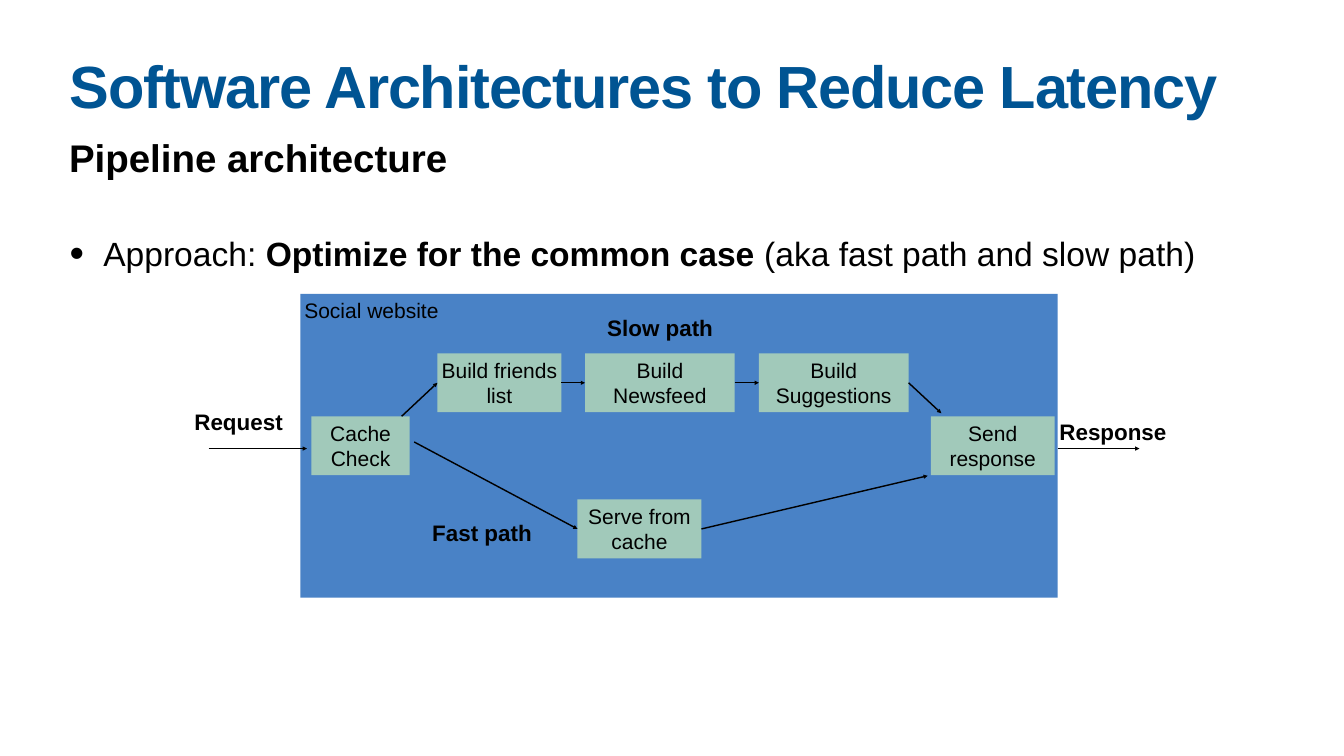
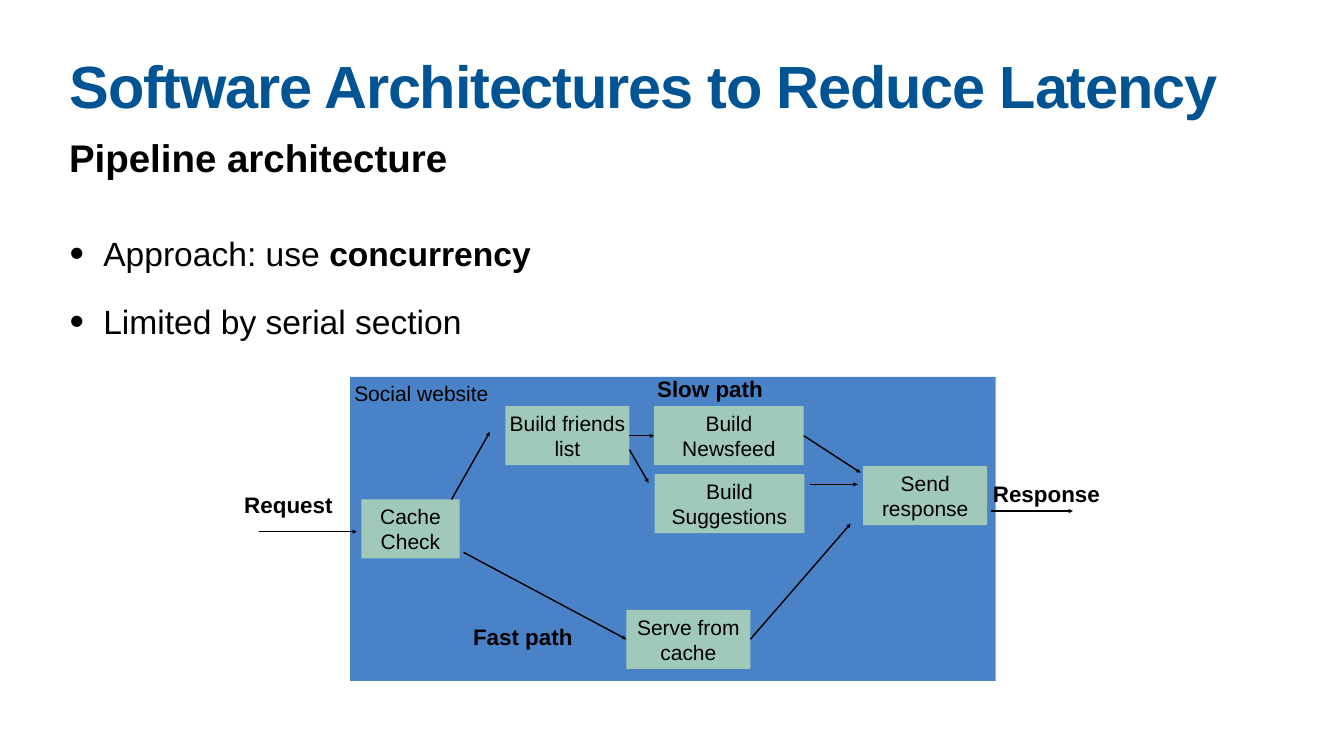
from dataclasses import dataclass
from typing import Union

from lxml.etree import SubElement
from pptx import Presentation
from pptx.dml.color import RGBColor
from pptx.enum.shapes import MSO_CONNECTOR, MSO_SHAPE
from pptx.enum.text import MSO_ANCHOR, MSO_AUTO_SIZE, PP_ALIGN
from pptx.oxml.ns import qn
from pptx.util import Inches, Pt

COLORS = {
    "title": "005493",
    "text": "000000",
    "site": "4982C6",
    "step": "A1C9BA",
}
FONT = "Arial"
TITLE = "Software Architectures to Reduce Latency"
SUBTITLE = "Pipeline architecture"
SITE_NAME = "Social website"

MARGIN, CONTENT_WIDTH = 1.32, 24.03
SITE_HEIGHT = 6.03
STEP_HEIGHT, LABEL_HEIGHT = 1.17, 0.69
DIAGRAM_INSET = 0.08
LEFT_SIDE, RIGHT_SIDE = 1, 3

STEP_WIDTHS = {
    "Cache Check": 1.95,
    "Send response": 2.46,
    "Build friends list": 2.46,
    "Build Newsfeed": 2.97,
    "Build Suggestions": 2.97,
    "Serve from cache": 2.46,
}
LABEL_WIDTHS = {"Request": 1.93, "Response": 2.29, "Fast path": 2.15, "Slow path": 2.28}

Point = tuple[float, float]
Stop = Union[Point, str]  # a free point, or the name of the step it joins


@dataclass(frozen=True)
class Arrow:
    start: Stop
    end: Stop


@dataclass(frozen=True)
class Pipeline:
    bullets: list[list[tuple[str, bool]]]
    bullets_height: float
    site_at: Point
    site_width: float
    steps: dict[str, Point]
    labels: dict[str, Point]
    arrows: list[Arrow]


COMMON_CASE = Pipeline(
    bullets=[[
        ("Approach: ", False),
        ("Optimize for the common case ", True),
        ("(aka fast path and slow path)", False),
    ]],
    bullets_height=9.03,
    site_at=(5.96, 5.83),
    site_width=15.03,
    steps={
        "Cache Check": (6.18, 8.26),
        "Send response": (18.47, 8.26),
        "Build friends list": (8.68, 7.01),
        "Build Newsfeed": (11.61, 7.01),
        "Build Suggestions": (15.06, 7.01),
        "Serve from cache": (11.46, 9.91),
    },
    labels={
        "Request": (3.77, 8.01),
        "Response": (20.94, 8.21),
        "Fast path": (8.49, 10.22),
        "Slow path": (11.96, 6.15),
    },
    arrows=[
        Arrow((4.14, 8.9), (6.09, 8.9)),
        Arrow((20.99, 8.9), (22.61, 8.9)),
        Arrow((7.97, 8.26), "Build friends list"),
        Arrow("Build friends list", "Build Newsfeed"),
        Arrow("Build Newsfeed", "Build Suggestions"),
        Arrow("Build Suggestions", (18.68, 8.2)),
        Arrow((8.22, 8.77), "Serve from cache"),
        Arrow("Serve from cache", (18.41, 9.44)),
    ],
)

CONCURRENCY = Pipeline(
    bullets=[
        [("Approach: use ", False), ("concurrency", True)],
        [("Limited by serial section", False)],
    ],
    bullets_height=2.59,
    site_at=(6.95, 7.48),
    site_width=12.81,
    steps={
        "Cache Check": (7.17, 9.91),
        "Send response": (17.13, 9.25),
        "Build friends list": (10.03, 8.06),
        "Build Newsfeed": (12.98, 8.06),
        "Build Suggestions": (12.99, 9.41),
        "Serve from cache": (12.43, 12.1),
    },
    labels={
        "Request": (4.76, 9.66),
        "Response": (19.62, 9.45),
        "Fast path": (9.3, 12.29),
        "Slow path": (12.95, 7.37),
    },
    arrows=[
        Arrow((5.13, 10.55), (7.08, 10.55)),
        Arrow((19.66, 10.14), (21.29, 10.14)),
        Arrow((8.96, 9.91), (9.72, 8.57)),
        Arrow("Build friends list", "Build Newsfeed"),
        Arrow((12.49, 8.92), (12.87, 9.58)),
        Arrow("Build Newsfeed", (17.08, 9.38)),
        Arrow((16.08, 9.61), (17.02, 9.61)),
        Arrow((9.2, 10.96), "Serve from cache"),
        Arrow("Serve from cache", (16.88, 10.39)),
    ],
)


# Text and shape formatting
def rgb(name: str) -> RGBColor:
    return RGBColor.from_string(COLORS[name])


def style_run(run, size: float, bold: bool = False, color: str = "text") -> None:
    run.font.name = FONT
    run.font.size = Pt(size)
    run.font.bold = bold
    run.font.color.rgb = rgb(color)


def set_frame(frame, inset: float, anchor=MSO_ANCHOR.TOP) -> None:
    frame.margin_left = frame.margin_right = Inches(inset)
    frame.margin_top = frame.margin_bottom = Inches(inset)
    frame.vertical_anchor = anchor
    frame.auto_size = MSO_AUTO_SIZE.NONE
    frame.word_wrap = True


def fill_frame(frame, text: str, size: float, bold: bool = False, color: str = "text",
               align=PP_ALIGN.LEFT):
    frame.text = text
    paragraph = frame.paragraphs[0]
    paragraph.alignment = align
    style_run(paragraph.runs[0], size, bold, color)
    return paragraph


def place(shape, top: float, height: float) -> None:
    shape.left, shape.top = Inches(MARGIN), Inches(top)
    shape.width, shape.height = Inches(CONTENT_WIDTH), Inches(height)


# Title, subtitle and bullets
def add_headings(slide) -> None:
    title = slide.shapes.title
    place(title, 1.18, 1.57)
    set_frame(title.text_frame, 0.06)
    heading = fill_frame(title.text_frame, TITLE, 85, True, "title")
    heading.line_spacing = 0.8
    heading.runs[0].font._element.set("spc", "-170")

    subtitle = slide.placeholders[1]
    place(subtitle, 2.6, 1.02)
    set_frame(subtitle.text_frame, 0.05)
    subheading = fill_frame(subtitle.text_frame, SUBTITLE, 55, True)
    subheading.space_before = Pt(0)
    properties = subheading._p.get_or_add_pPr()
    properties.set("marL", "0")
    properties.set("indent", "0")
    SubElement(properties, qn("a:buNone"))


def add_bullets(slide, pipeline: Pipeline) -> None:
    body = slide.placeholders[2]
    place(body, 4.65, pipeline.bullets_height)
    frame = body.text_frame
    set_frame(frame, 0.06)
    for index, parts in enumerate(pipeline.bullets):
        paragraph = frame.add_paragraph() if index else frame.paragraphs[0]
        properties = paragraph._p.get_or_add_pPr()
        properties.set("marL", str(Inches(0.67)))
        properties.set("indent", str(-Inches(0.67)))
        SubElement(properties, qn("a:buSzPct"), val="123000")
        SubElement(properties, qn("a:buChar"), char="•")
        paragraph.line_spacing = 0.9
        paragraph.space_before = Pt(45 if index else 0)
        for text, bold in parts:
            run = paragraph.add_run()
            run.text = text
            style_run(run, 48, bold)


# Diagram parts
def add_box(slide, at: Point, width: float, height: float, fill: str):
    box = slide.shapes.add_shape(
        MSO_SHAPE.RECTANGLE, *map(Inches, (*at, width, height)))
    box.shadow.inherit = False
    box.fill.solid()
    box.fill.fore_color.rgb = rgb(fill)
    box.line.fill.background()
    return box


def add_site(slide, pipeline: Pipeline) -> None:
    site = add_box(slide, pipeline.site_at, pipeline.site_width, SITE_HEIGHT, "site")
    set_frame(site.text_frame, DIAGRAM_INSET)
    fill_frame(site.text_frame, SITE_NAME, 30)


def add_step(slide, name: str, at: Point):
    step = add_box(slide, at, STEP_WIDTHS[name], STEP_HEIGHT, "step")
    set_frame(step.text_frame, DIAGRAM_INSET, MSO_ANCHOR.MIDDLE)
    fill_frame(step.text_frame, name, 30, align=PP_ALIGN.CENTER)
    return step


def add_label(slide, text: str, at: Point) -> None:
    label = slide.shapes.add_textbox(
        *map(Inches, (*at, LABEL_WIDTHS[text], LABEL_HEIGHT)))
    frame = label.text_frame
    set_frame(frame, DIAGRAM_INSET, MSO_ANCHOR.MIDDLE)
    frame.word_wrap = False
    frame.auto_size = MSO_AUTO_SIZE.SHAPE_TO_FIT_TEXT
    fill_frame(frame, text, 32, True, align=PP_ALIGN.CENTER)


def add_arrow(slide, arrow: Arrow, steps: dict) -> None:
    start, end = (
        (0, 0) if isinstance(stop, str) else stop for stop in (arrow.start, arrow.end))
    line = slide.shapes.add_connector(
        MSO_CONNECTOR.STRAIGHT, *map(Inches, (*start, *end)))
    if isinstance(arrow.start, str):
        line.begin_connect(steps[arrow.start], RIGHT_SIDE)
    if isinstance(arrow.end, str):
        line.end_connect(steps[arrow.end], LEFT_SIDE)
    line.line.color.rgb = rgb("text")
    line.line.width = Pt(2)
    SubElement(line.line._get_or_add_ln(), qn("a:tailEnd"), type="triangle")
    SubElement(line._element.spPr, qn("a:effectLst"))


def add_pipeline_slide(deck, pipeline: Pipeline) -> None:
    slide = deck.slides.add_slide(deck.slide_layouts.get_by_name("Two Content"))
    add_headings(slide)
    add_bullets(slide, pipeline)
    add_site(slide, pipeline)
    steps = {name: add_step(slide, name, at) for name, at in pipeline.steps.items()}
    for arrow in pipeline.arrows:
        add_arrow(slide, arrow, steps)
    for text, at in pipeline.labels.items():
        add_label(slide, text, at)


def main() -> None:
    deck = Presentation()
    deck.slide_width, deck.slide_height = Inches(26.67), Inches(15)
    for pipeline in (COMMON_CASE, CONCURRENCY):
        add_pipeline_slide(deck, pipeline)
    deck.save("out.pptx")


if __name__ == "__main__":
    main()
